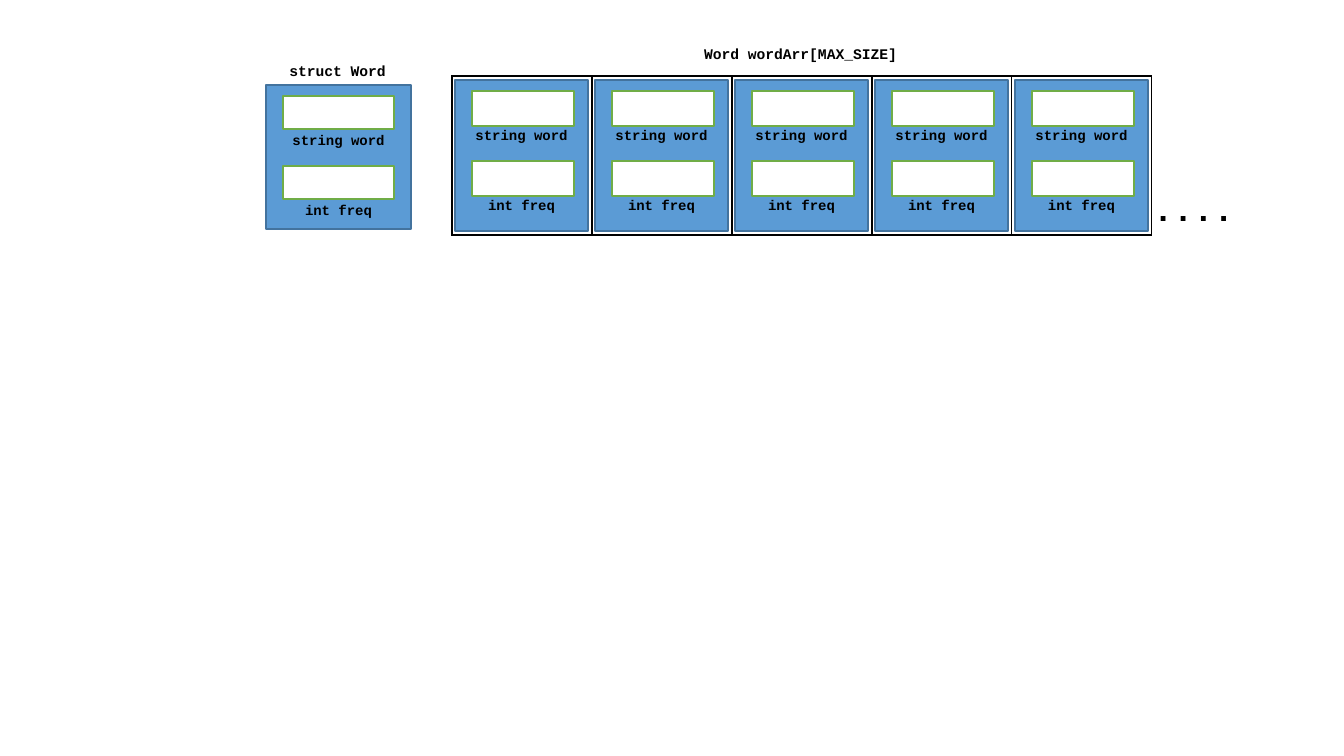
from lxml.etree import SubElement
from pptx import Presentation
from pptx.dml.color import RGBColor
from pptx.enum.shapes import MSO_SHAPE
from pptx.enum.text import MSO_AUTO_SIZE, PP_ALIGN
from pptx.oxml.ns import qn
from pptx.util import Emu, Pt

BLACK = RGBColor(0x00, 0x00, 0x00)
WHITE = RGBColor(0xFF, 0xFF, 0xFF)
BLUE = RGBColor(0x5B, 0x9B, 0xD5)
DARK_BLUE = RGBColor(0x43, 0x73, 0x9E)
GREEN = RGBColor(0x70, 0xAD, 0x47)

EMU_PER_PX = 914400 / 100.8
ELEMENTS = 5
CELL_WIDTH = 140
FIELDS = ("string word", "int freq")
FIELD_PITCH = 70


def px(*lengths):
    return [Emu(round(n * EMU_PER_PX)) for n in lengths]


def write(tf, text, size=10, bold=True, color=BLACK, font="Courier New",
          align=PP_ALIGN.CENTER):
    p = tf.paragraphs[0]
    p.alignment = align
    r = p.add_run()
    r.text = text
    r.font.name = font
    r.font.size = Pt(size)
    r.font.bold = bold
    r.font.color.rgb = color


class Canvas:
    line_width = Pt(1)

    def __init__(self, s):
        self.s = s

    def rect(self, x, y, w, h, fill, line):
        sp = self.s.shapes.add_shape(MSO_SHAPE.RECTANGLE, *px(x, y, w, h))
        sp.shadow.inherit = False
        sp.fill.solid()
        sp.fill.fore_color.rgb = fill
        sp.line.color.rgb = line
        sp.line.width = self.line_width

    def label(self, x, y, w, h, text, **fmt):
        tf = self.s.shapes.add_textbox(*px(x, y, w, h)).text_frame
        tf.word_wrap = True
        tf.auto_size = MSO_AUTO_SIZE.SHAPE_TO_FIT_TEXT
        write(tf, text, **fmt)

    def border(self, cell, color):
        tc_pr = cell._tc.get_or_add_tcPr()
        for side in ("a:lnL", "a:lnR", "a:lnT", "a:lnB"):
            ln = SubElement(tc_pr, qn(side), w=str(self.line_width))
            fill = SubElement(ln, qn("a:solidFill"))
            SubElement(fill, qn("a:srgbClr"), val=str(color))

    def array(self, x, y, h):
        frame = self.s.shapes.add_table(
            1, ELEMENTS, *px(x, y, CELL_WIDTH * ELEMENTS, h))
        table = frame.table
        table.first_row = False
        table.horz_banding = False
        for column in table.columns:
            column.width = px(CELL_WIDTH)[0]
        for cell in table.iter_cells():
            self.border(cell, BLACK)
            cell.fill.background()

    def word(self, x, y, w, h, field_w, field_h):
        self.rect(x, y, w, h, BLUE, DARK_BLUE)
        for i, name in enumerate(FIELDS):
            top = y + i * FIELD_PITCH
            self.rect(x + 17, top + 11, field_w, field_h, WHITE, GREEN)
            self.label(x, top + 42, w, 27, name)


prs = Presentation()
prs.slide_width, prs.slide_height = px(1344, 756)
canvas = Canvas(prs.slides.add_slide(prs.slide_layouts[6]))

canvas.array(452, 76, 159)
canvas.label(265, 57, 145, 28, "struct Word", size=10.5)
canvas.word(266, 85, 145, 144, 111, 33)
canvas.label(680, 40, 241, 28, "Word wordArr[MAX_SIZE]", size=10.5)
for i in range(ELEMENTS):
    canvas.word(455 + i * CELL_WIDTH, 80, 133, 151, 102, 35)
canvas.label(1131, 183, 145, 50, ".... ", size=24)

prs.save("out.pptx")
